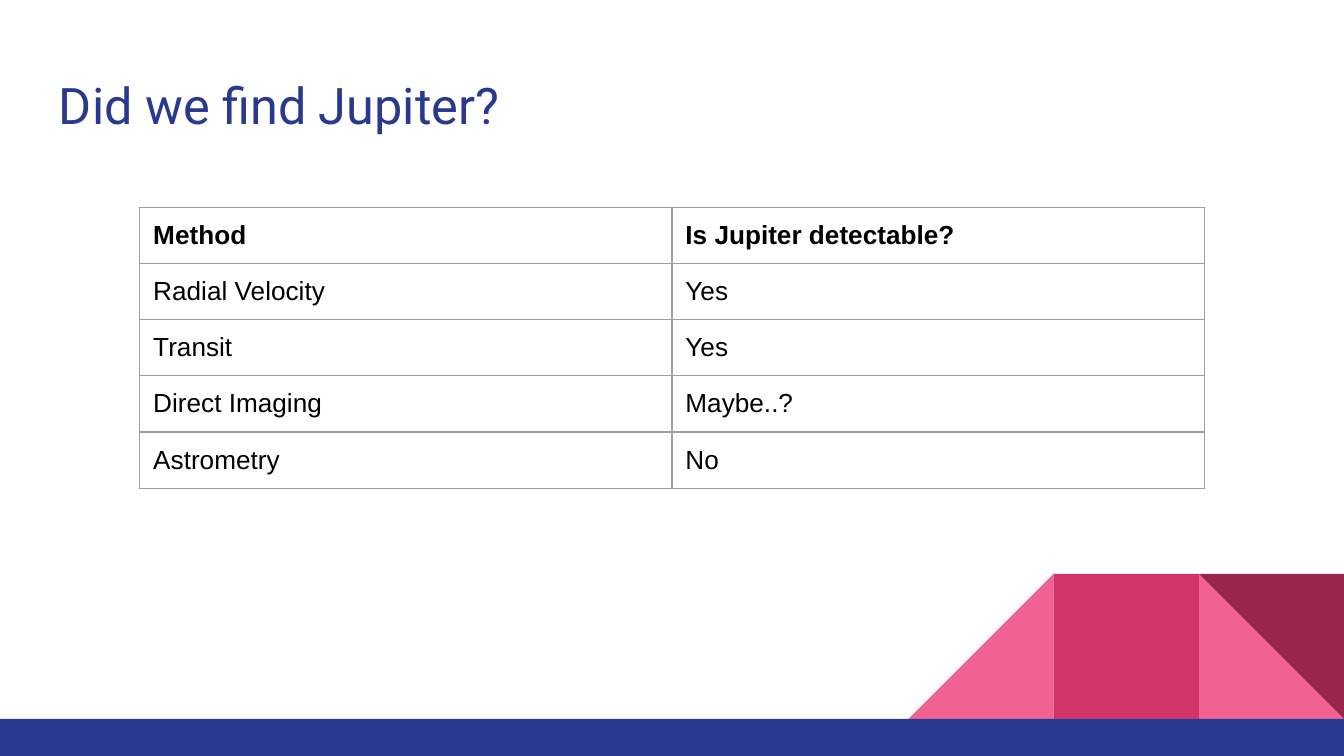
from dataclasses import dataclass

from lxml.etree import SubElement
from pptx import Presentation
from pptx.dml.color import RGBColor as RGB
from pptx.enum.shapes import MSO_SHAPE as SHAPE
from pptx.enum.text import MSO_ANCHOR as ANCHOR
from pptx.oxml.ns import qn
from pptx.util import Inches, Pt


@dataclass(frozen=True)
class Theme:
    blue: str = "2A3990"
    light_pink: str = "F06292"
    pink: str = "D23369"
    dark_pink: str = "9C254D"
    text: str = "000000"
    border: str = "9E9E9E"
    border_width: float = 0.75
    title_font: str = "Roboto"
    body_font: str = "Arial"
    title_size: int = 27
    body_size: int = 14


THEME = Theme()
WIDTH = 10
HEIGHT = WIDTH * 9 / 16
ROWS = [
    ("Method", "Is Jupiter detectable?"),
    ("Radial Velocity", "Yes"),
    ("Transit", "Yes"),
    ("Direct Imaging", "Maybe..?"),
    ("Astrometry", "No"),
]


def share(left, top, width, height):
    return [Inches(v) for v in (left * WIDTH, top * HEIGHT, width * WIDTH, height * HEIGHT)]


def style_text(p, text, font, size, color, bold=False):
    p.text = text
    p.font.name = font
    p.font.size = Pt(size)
    p.font.bold = bold
    p.font.color.rgb = RGB.from_string(color)


def add_block(s, kind, box, color):
    sp = s.shapes.add_shape(kind, *box)
    sp.shadow.inherit = False
    sp.fill.solid()
    sp.fill.fore_color.rgb = RGB.from_string(color)
    sp.line.fill.background()
    return sp


def add_corner(s, box):
    left, top, width, height = box
    step = width // 3
    tiles = [
        (SHAPE.RIGHT_TRIANGLE, 2, THEME.light_pink, False, 0),
        (SHAPE.RIGHT_TRIANGLE, 0, THEME.light_pink, True, 0),
        (SHAPE.RECTANGLE, 1, THEME.pink, False, 0),
        (SHAPE.RIGHT_TRIANGLE, 2, THEME.dark_pink, False, 180),
    ]
    for kind, col, color, flipped, rotation in tiles:
        sp = add_block(s, kind, (left + col * step, top, step, height), color)
        sp.rotation = rotation
        if flipped:
            sp.element.spPr.find(qn("a:xfrm")).set("flipH", "1")


def add_title(s, box, text):
    tf = s.shapes.add_textbox(*box).text_frame
    tf.word_wrap = True
    tf.vertical_anchor = ANCHOR.MIDDLE
    tf.margin_left = tf.margin_right = tf.margin_top = tf.margin_bottom = Inches(0.1)
    style_text(tf.paragraphs[0], text, THEME.title_font, THEME.title_size, THEME.blue)


def add_borders(cell):
    props = cell._tc.get_or_add_tcPr()
    for index, side in enumerate(("lnL", "lnR", "lnT", "lnB")):
        ln = props.makeelement(qn(f"a:{side}"), {"w": str(Pt(THEME.border_width))})
        fill = SubElement(ln, qn("a:solidFill"))
        SubElement(fill, qn("a:srgbClr"), val=THEME.border)
        props.insert(index, ln)


def add_methods(s, box, rows):
    table = s.shapes.add_table(len(rows), len(rows[0]), *box).table
    table.horz_banding = False
    for i, row in enumerate(rows):
        for j, text in enumerate(row):
            cell = table.cell(i, j)
            cell.fill.background()
            cell.vertical_anchor = ANCHOR.MIDDLE
            cell.margin_left = cell.margin_right = Inches(0.1)
            cell.margin_top = cell.margin_bottom = Inches(0.09)
            p = cell.text_frame.paragraphs[0]
            style_text(p, text, THEME.body_font, THEME.body_size, THEME.text, i == 0)
            add_borders(cell)


def main():
    prs = Presentation()
    prs.slide_width, prs.slide_height = Inches(WIDTH), Inches(HEIGHT)
    s = prs.slides.add_slide(prs.slide_layouts[6])
    add_corner(s, share(0.676, 0.759, 0.324, 0.192))
    add_block(s, SHAPE.RECTANGLE, share(0, 0.951, 1, 0.049), THEME.blue)
    add_title(s, share(0.034, 0.08, 0.932, 0.117), "Did we find Jupiter?")
    add_methods(s, share(0.104, 0.274, 0.792, 0.372), ROWS)
    prs.save("out.pptx")


if __name__ == "__main__":
    main()
